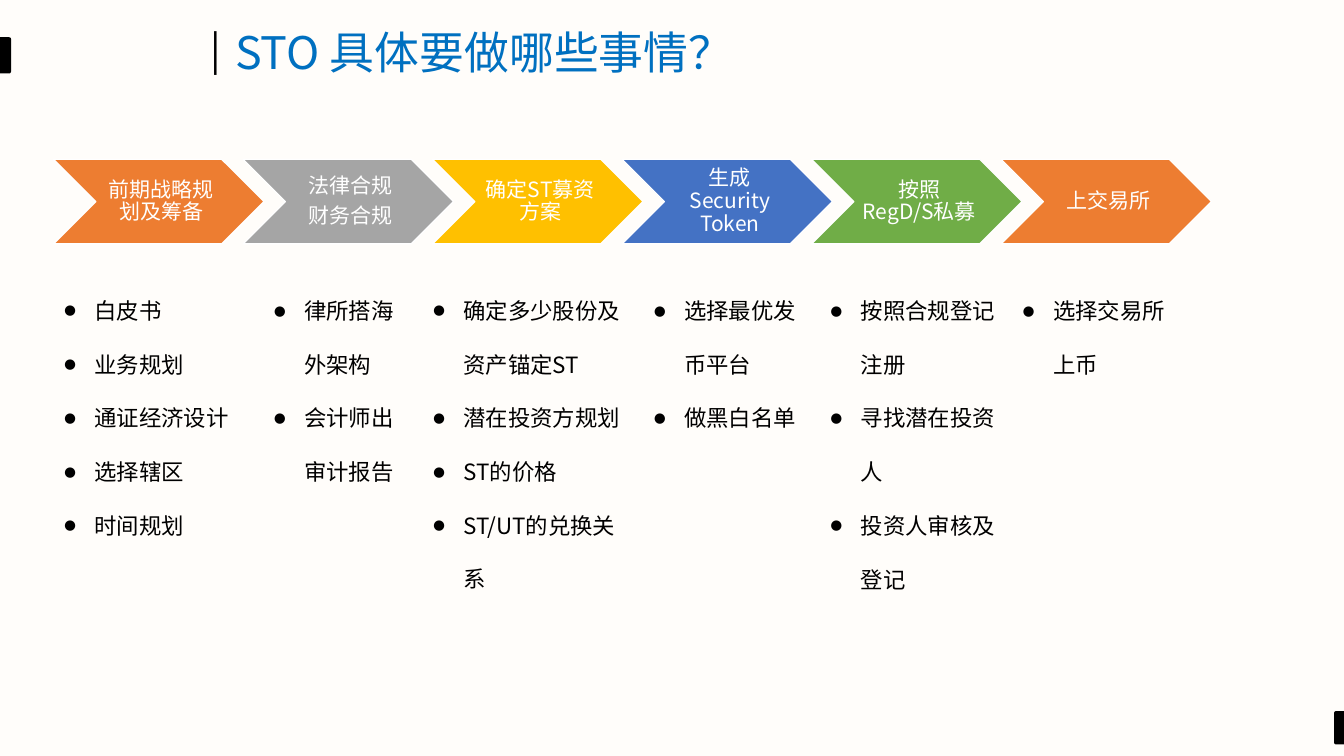
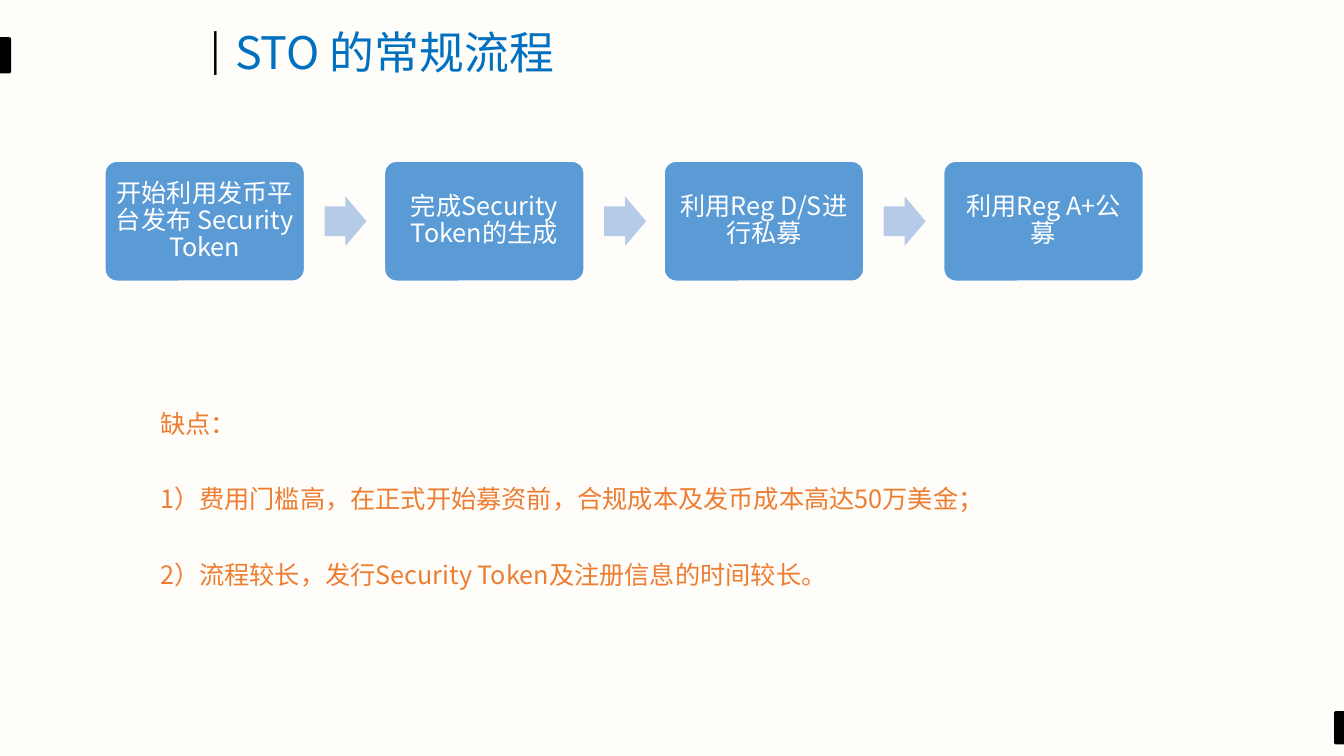
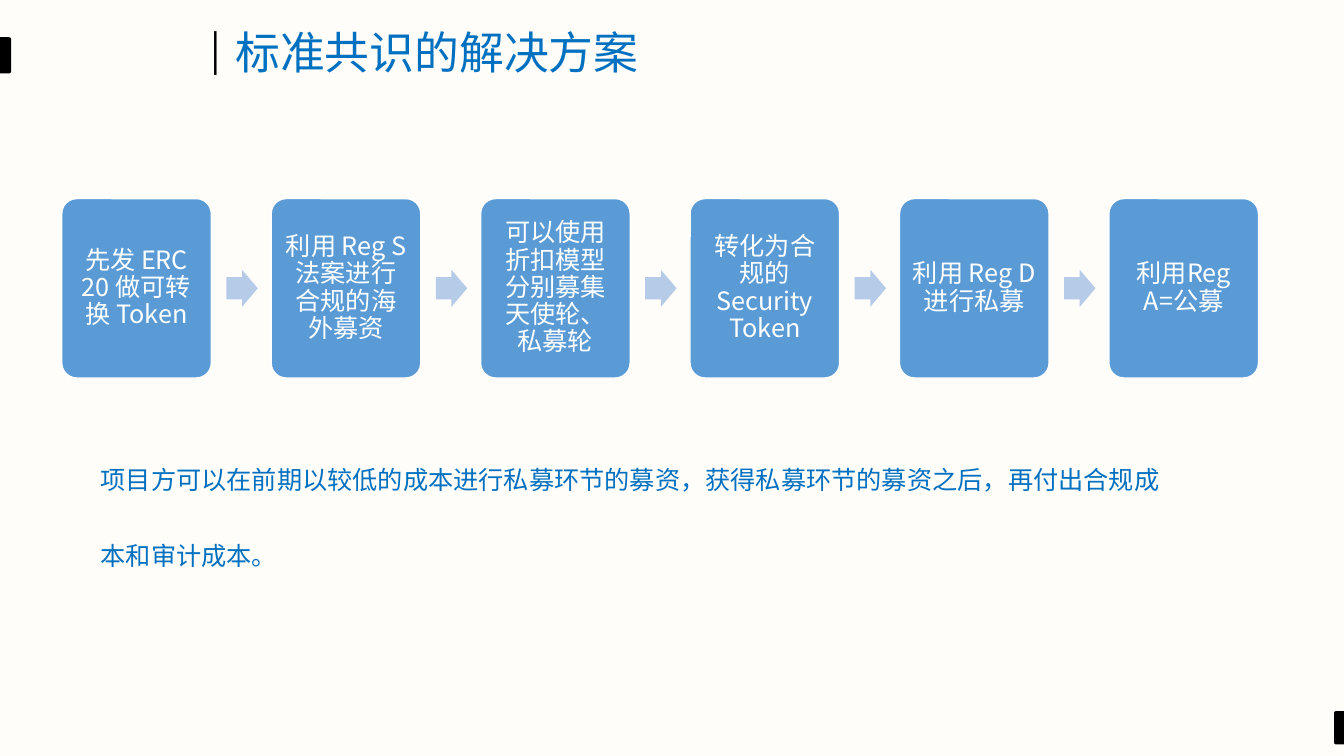
from lxml.etree import SubElement
from pptx import Presentation
from pptx.dml.color import RGBColor
from pptx.enum.shapes import MSO_SHAPE
from pptx.enum.text import MSO_ANCHOR, MSO_AUTO_SIZE, PP_ALIGN
from pptx.oxml.ns import qn
from pptx.util import Inches, Pt

COLORS = {
    "paper": "FFFDFA", "black": "000000", "white": "FFFFFF",
    "title": "0070C0", "orange": "ED7D31", "gray": "A5A5A5", "gold": "FFC000",
    "blue": "4472C4", "green": "70AD47", "step": "5B9BD5", "arrow": "B5CBE7",
}
CJK = "Noto Sans CJK SC"

prs = Presentation()
prs.slide_width, prs.slide_height = Inches(13.33), Inches(7.5)
COL, ROW = prs.slide_width / 100, prs.slide_height / 100


def draw(slide, kind, left, top, width, height, fill=None, outline=None):
    place = [round(n) for n in (left * COL, top * ROW, width * COL, height * ROW)]
    if kind is None:
        return slide.shapes.add_textbox(*place)
    shape = slide.shapes.add_shape(kind, *place)
    shape.shadow.inherit = False
    shape.fill.solid()
    shape.fill.fore_color.rgb = RGBColor.from_string(COLORS[fill])
    if outline:
        shape.line.color.rgb = RGBColor.from_string(COLORS[outline])
        shape.line.width = Pt(1)
    else:
        shape.line.fill.background()
    return shape


def write(shape, text, size, color, align=PP_ALIGN.LEFT, spacing=1.0, after=0,
          bullet=None, insets=None, anchor=None, grow=False, wrap=True):
    frame = shape.text_frame
    frame.word_wrap = wrap
    frame.auto_size = MSO_AUTO_SIZE.SHAPE_TO_FIT_TEXT if grow else MSO_AUTO_SIZE.NONE
    if anchor is not None:
        frame.vertical_anchor = anchor
    if insets:
        (frame.margin_left, frame.margin_top,
         frame.margin_right, frame.margin_bottom) = [Inches(n) for n in insets]
    frame.text = text
    for paragraph in frame.paragraphs:
        paragraph.alignment = align
        paragraph.line_spacing = spacing
        paragraph.space_after = Pt(after)
        if bullet:
            props = paragraph._p.get_or_add_pPr()
            props.set("marL", str(Inches(0.31)))
            props.set("indent", str(-Inches(0.31)))
            SubElement(props, qn("a:buFont"), typeface="Calibri")
            SubElement(props, qn("a:buChar"), char=bullet)
        for run in paragraph.runs:
            run.font.size = Pt(size)
            run.font.name = CJK
            run.font.color.rgb = RGBColor.from_string(COLORS[color])
            SubElement(run._r.get_or_add_rPr(), qn("a:ea"), typeface=CJK)


background = prs.slide_master.background.fill
background.solid()
background.fore_color.rgb = RGBColor.from_string(COLORS["paper"])

layout = prs.slide_layouts[5]
for placeholder in list(layout.placeholders)[1:]:
    layout.shapes.element.remove(placeholder.element)
heading = layout.placeholders[0]
heading.left, heading.width = round(16.75 * COL), round(70.65 * COL)
heading.top, heading.height = round(3.47 * ROW), round(7.6 * ROW)

titles = ["STO 具体要做哪些事情？", "STO 的常规流程", "标准共识的解决方案"]
slides = [prs.slides.add_slide(layout) for title in titles]
for slide, title in zip(slides, titles):
    write(slide.shapes.title, title, 32, "title", spacing=0.9, anchor=MSO_ANCHOR.MIDDLE)

tasks_slide = slides[0]
right_tab = draw(tasks_slide, MSO_SHAPE.ROUND_2_SAME_RECTANGLE, 98.4, 95.6, 2.48, 1.33, "black")
right_tab.rotation = 270
left_tab = draw(tasks_slide, MSO_SHAPE.ROUND_2_SAME_RECTANGLE, -0.98, 6.53, 2.7, 1.6, "black")
left_tab.rotation = 90
divider = draw(tasks_slide, None, 14.93, 2.67, 2.33, 7.6)
write(divider, "|", 28, "black", grow=True, wrap=False)
for part in (right_tab, left_tab, divider):
    layout.shapes.element.append(part.element)

stages = [
    ("前期战略规划及筹备", "orange", 3.98, 15.53, 37.07,
     ["白皮书", "业务规划", "通证经济设计", "选择辖区", "时间规划"]),
    ("法律合规\n财务合规", "gray", 19.58, 11.78, 28.93,
     ["律所搭海外架构", "会计师出审计报告"]),
    ("确定ST募资方案", "gold", 31.43, 16.05, 50.53,
     ["确定多少股份及资产锚定ST", "潜在投资方规划", "ST的价格", "ST/UT的兑换关系"]),
    ("生成Security Token", "blue", 47.85, 12.75, 22.67,
     ["选择最优发币平台", "做黑白名单"]),
    ("按照 RegD/S私募", "green", 60.98, 14.93, 43.47,
     ["按照合规登记注册", "寻找潜在投资人", "投资人审核及登记"]),
    ("上交易所", "orange", 75.3, 13.73, 14.67, ["选择交易所上币"]),
]
for i, (stage, color, left, width, height, tasks) in enumerate(stages):
    chevron = draw(tasks_slide, MSO_SHAPE.CHEVRON, 3.98 + 14.1 * i, 21.07, 15.67, 11.2,
                   color, "white")
    write(chevron, stage, 15, "white", align=PP_ALIGN.CENTER, spacing=0.9, after=5,
          insets=(0.07, 0.02, 0.02, 0.02), anchor=MSO_ANCHOR.MIDDLE)
    task_list = draw(tasks_slide, None, left, 35.07, width, height)
    write(task_list, "\n".join(tasks), 16, "black", spacing=2.0, bullet="●", grow=True)

flows = [
    (slides[1], (7.8, 21.33, 14.86, 15.87), 0.07,
     ["开始利用发币平台发布 Security Token", "完成Security Token的生成",
      "利用Reg D/S进行私募", "利用Reg A+公募"],
     (11.18, 47.33, 77.7, 29.87), "orange",
     ["缺点：", "1）费用门槛高，在正式开始募资前，合规成本及发币成本高达50万美金；",
      "2）流程较长，发行Security Token及注册信息的时间较长。"]),
    (slides[2], (4.6, 26.27, 11.13, 23.73), 0.08,
     ["先发 ERC 20 做可转换 Token", "利用 Reg S 法案进行合规的海外募资",
      "可以使用折扣模型分别募集天使轮、私募轮", "转化为合规的Security Token",
      "利用 Reg D进行私募", "利用Reg A=公募"],
     (6.75, 54.8, 80.63, 19.87), "title",
     ["项目方可以在前期以较低的成本进行私募环节的募资，获得私募环节的募资之后，再付出合规成本和审计成本。"]),
]
for slide, (left, top, width, height), inset, steps, note_place, note_color, remarks in flows:
    arrow_height = 0.44 * width
    for i, step in enumerate(steps):
        step_left = left + 1.4 * width * i
        box = draw(slide, MSO_SHAPE.ROUNDED_RECTANGLE, step_left, top, width, height,
                   "step", "white")
        box.adjustments[0] = 0.1
        write(box, step, 18, "white", align=PP_ALIGN.CENTER, spacing=0.9, after=6,
              insets=[inset] * 4, anchor=MSO_ANCHOR.MIDDLE)
        if i < len(steps) - 1:
            arrow = draw(slide, MSO_SHAPE.RIGHT_ARROW, step_left + 1.1 * width,
                         top + (height - arrow_height) / 2, 0.21 * width, arrow_height, "arrow")
            arrow.adjustments[0] = 0.6
    note = draw(slide, None, *note_place)
    write(note, "\n".join(remarks), 18, note_color, spacing=2.5, grow=True)

prs.save("out.pptx")
